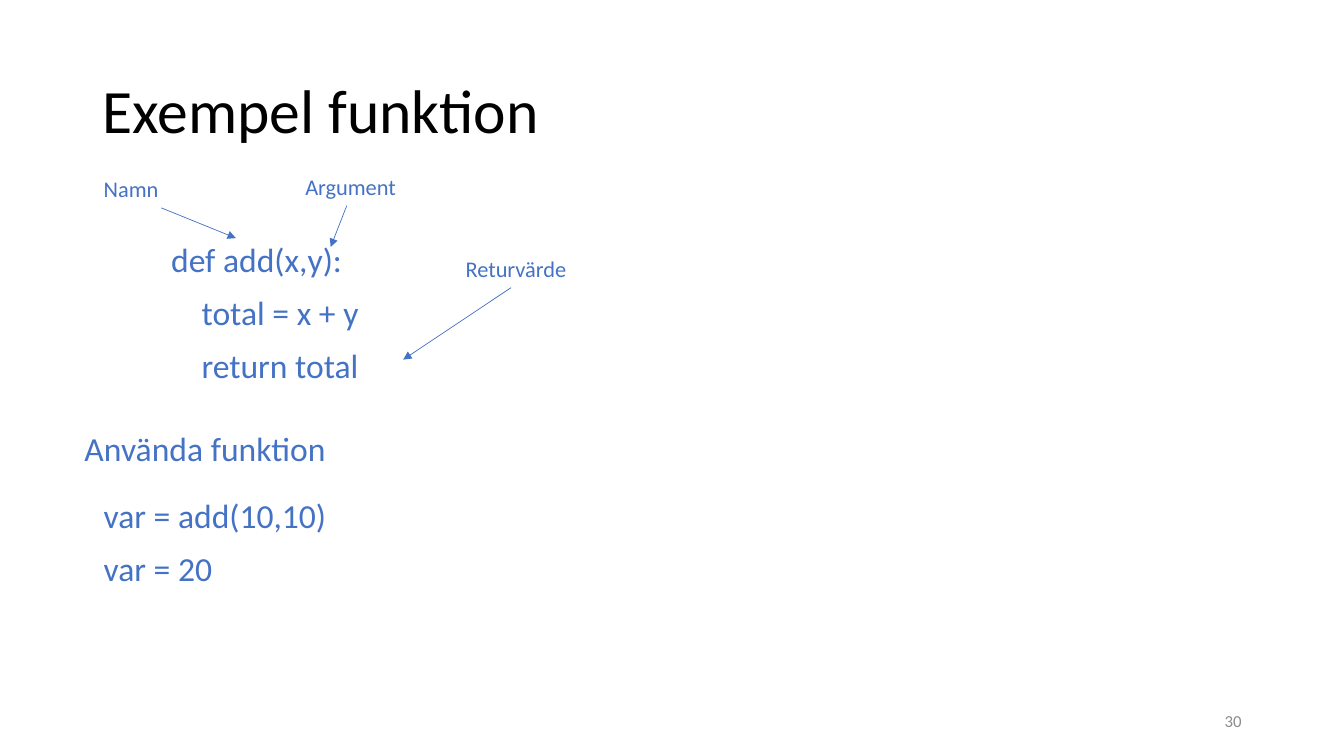
from dataclasses import dataclass

from lxml.etree import SubElement
from pptx import Presentation
from pptx.dml.color import RGBColor
from pptx.enum.shapes import MSO_CONNECTOR
from pptx.enum.text import MSO_ANCHOR, MSO_AUTO_SIZE, PP_ALIGN
from pptx.oxml.ns import qn
from pptx.util import Pt


@dataclass(frozen=True)
class Theme:
    font: str = "Calibri"
    ink: RGBColor = RGBColor(0, 0, 0)
    accent: RGBColor = RGBColor(0x44, 0x72, 0xC4)
    muted: RGBColor = RGBColor(0x8C, 0x8C, 0x8C)
    title: int = 44
    code: int = 24
    label: int = 16
    footer: int = 12
    arrow: float = 0.5
    indent: float = 21.7


THEME = Theme()
BODY_FORMAT = {"line_spacing": 0.9, "space_before": Pt(12)}


def apply(target, values):
    for name, value in values.items():
        setattr(target, name, value)


def place(sp, box):
    apply(sp, dict(zip(("left", "top", "width", "height"), map(Pt, box))))


def write(tf, lines, size, color, paragraph_format):
    """Fill a text frame; each line is a pair of text and indent level."""
    for i, (text, level) in enumerate(lines):
        p = tf.paragraphs[0] if i == 0 else tf.add_paragraph()
        apply(p, paragraph_format)
        if level:
            p._p.get_or_add_pPr().set("marL", str(Pt(level * THEME.indent)))
        r = p.add_run()
        r.text = text
        apply(r.font, {"name": THEME.font, "size": Pt(size)})
        r.font.color.rgb = color


def add_title(s, box, text):
    sp = s.shapes.title
    place(sp, box)
    apply(sp.text_frame, {"vertical_anchor": MSO_ANCHOR.MIDDLE,
                          "auto_size": MSO_AUTO_SIZE.NONE})
    write(sp.text_frame, [(text, 0)], THEME.title, THEME.ink,
          {"line_spacing": 0.9, "alignment": PP_ALIGN.LEFT})


def add_text(s, box, lines, size):
    tf = s.shapes.add_textbox(*map(Pt, box)).text_frame
    apply(tf, {"word_wrap": True, "auto_size": MSO_AUTO_SIZE.SHAPE_TO_FIT_TEXT})
    write(tf, lines, size, THEME.accent, BODY_FORMAT)


def add_page_number(s, box, number):
    tf = s.shapes.add_textbox(*map(Pt, box)).text_frame
    apply(tf, {"word_wrap": True, "vertical_anchor": MSO_ANCHOR.MIDDLE})
    write(tf, [(str(number), 0)], THEME.footer, THEME.muted,
          {"alignment": PP_ALIGN.RIGHT})


def add_callout(s, box, text, start, reach):
    """Label whose arrow leaves its lower edge at start and spans reach."""
    add_text(s, box, [(text, 0)], THEME.label)
    left, top, _, height = box
    x, y = left + start, top + height
    dx, dy = reach
    line = s.shapes.add_connector(MSO_CONNECTOR.STRAIGHT,
                                  *map(Pt, (x, y, x + dx, y + dy)))
    line.line.color.rgb = THEME.accent
    line.line.width = Pt(THEME.arrow)
    SubElement(line.line._get_or_add_ln(), qn("a:tailEnd"), type="triangle")
    SubElement(line._element.spPr, qn("a:effectLst"))


def add_example_slide(prs):
    s = prs.slides.add_slide(prs.slide_layouts[5])
    add_page_number(s, (678, 500.5, 216, 28.8), 30)
    add_title(s, (66, 28.8, 828, 104.4), "Exempel funktion")
    add_text(s, (115.2, 170, 394, 110),
             [("def add(x,y):", 0), ("total = x + y", 1), ("return total", 1)],
             THEME.code)
    callouts = [
        ("Namn", 67, 124, 48.2, (53.3, 21.6)),
        ("Argument", 211, 122.4, 36.7, (-11.5, 29.5)),
        ("Returvärde", 325.5, 181, 39.5, (-77, 51.4)),
    ]
    for text, left, top, start, reach in callouts:
        add_callout(s, (left, top, 155, 24.5), text, start, reach)
    add_text(s, (53.3, 305.3, 701, 33), [("Använda funktion", 0)], THEME.code)
    add_text(s, (67, 353.5, 299, 72),
             [("var = add(10,10)", 0), ("var = 20", 0)], THEME.code)


def main():
    prs = Presentation()
    apply(prs, {"slide_width": Pt(960), "slide_height": Pt(540)})
    add_example_slide(prs)
    prs.save("out.pptx")


if __name__ == "__main__":
    main()
